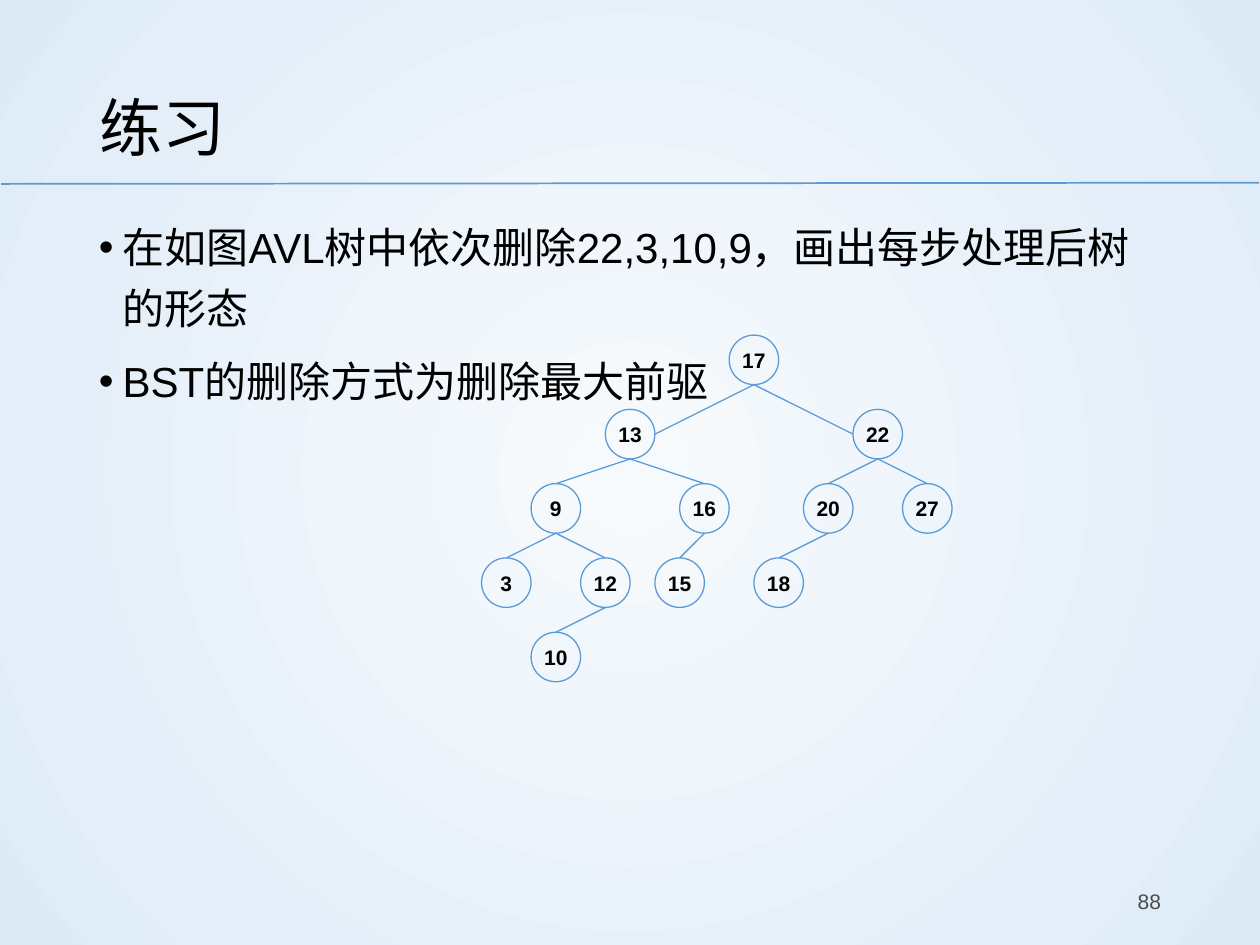
from lxml import etree
from pptx import Presentation
from pptx.dml.color import RGBColor
from pptx.enum.shapes import MSO_CONNECTOR, MSO_SHAPE
from pptx.enum.text import MSO_ANCHOR, PP_ALIGN
from pptx.oxml.ns import qn
from pptx.util import Pt

OVAL = MSO_SHAPE.OVAL
STRAIGHT = MSO_CONNECTOR.STRAIGHT
MIDDLE = MSO_ANCHOR.MIDDLE
LEFT, CENTER, RIGHT = PP_ALIGN.LEFT, PP_ALIGN.CENTER, PP_ALIGN.RIGHT

BLACK = RGBColor(0x00, 0x00, 0x00)
GREY = RGBColor(0x4B, 0x4B, 0x4B)
BLUE = RGBColor(0x5B, 0x9B, 0xD5)
PALE = RGBColor(0xF7, 0xFA, 0xFD)
SKY = RGBColor(0xDE, 0xEB, 0xF7)

UNIT = 14.15
NODES = {
    "17": (10, 0), "13": (5, 1), "22": (15, 1),
    "9": (2, 2), "16": (8, 2), "20": (13, 2), "27": (17, 2),
    "3": (0, 3), "12": (4, 3), "15": (7, 3), "18": (11, 3),
    "10": (2, 4),
}
EDGES = [
    ("17", "13"), ("17", "22"), ("13", "9"), ("13", "16"),
    ("22", "20"), ("22", "27"), ("9", "3"), ("9", "12"),
    ("16", "15"), ("20", "18"), ("12", "10"),
]


def style(para, size, color=BLACK, bold=False):
    for run in para.runs:
        run.font.name = "Arial"
        run.font.size = Pt(size)
        run.font.bold = bold
        run.font.color.rgb = color


def add_line(slide, start, end, width):
    line = slide.shapes.add_connector(STRAIGHT, *map(Pt, start + end))
    line.line.color.rgb = BLUE
    line.line.width = Pt(width)
    etree.SubElement(line._element.spPr, qn("a:effectLst"))


def add_back(slide):
    fill = slide.background.fill
    fill.gradient()
    for stop, color in zip(fill.gradient_stops, (PALE, SKY)):
        stop.color.rgb = color
    grad = next(slide._element.iter(qn("a:gradFill")))
    grad.remove(grad.find(qn("a:lin")))
    circle = etree.SubElement(grad, qn("a:path"), path="circle")
    sides = dict.fromkeys("ltrb", "50000")
    etree.SubElement(circle, qn("a:fillToRect"), **sides)


def add_title(slide, text, box):
    title = slide.shapes.title
    title.left, title.top, title.width, title.height = map(Pt, box)
    frame = title.text_frame
    frame.text = text
    frame.vertical_anchor = MIDDLE
    para = frame.paragraphs[0]
    para.alignment = LEFT
    para.line_spacing = 1.2
    style(para, 36)


def add_body(slide, items, box):
    frame = slide.shapes.add_textbox(*map(Pt, box)).text_frame
    frame.word_wrap = True
    frame.text = "\n".join(items)
    for num, para in enumerate(frame.paragraphs):
        props = para._p.get_or_add_pPr()
        props.set("marL", str(Pt(13.5)))
        props.set("indent", str(Pt(-13.5)))
        etree.SubElement(props, qn("a:buFont"), typeface="Arial")
        etree.SubElement(props, qn("a:buChar"), char="•")
        para.line_spacing = 1.2
        para.space_before = Pt(7.5 if num else 0)
        style(para, 24)


def add_number(slide, text, box):
    frame = slide.shapes.add_textbox(*map(Pt, box)).text_frame
    frame.word_wrap = True
    frame.vertical_anchor = MIDDLE
    frame.text = text
    para = frame.paragraphs[0]
    para.alignment = RIGHT
    style(para, 12, GREY)


def add_node(slide, text, x, y):
    size = 2 * UNIT
    node = slide.shapes.add_shape(OVAL, Pt(x), Pt(y), Pt(size), Pt(size))
    node.shadow.inherit = False
    node.fill.background()
    node.line.color.rgb = BLUE
    node.line.width = Pt(0.75)
    frame = node.text_frame
    frame.margin_left = frame.margin_right = 0
    frame.margin_top = frame.margin_bottom = 0
    frame.word_wrap = False
    frame.vertical_anchor = MIDDLE
    frame.text = text
    para = frame.paragraphs[0]
    para.alignment = CENTER
    style(para, 12, bold=True)


def add_tree(slide, left, top):
    spots = {key: (left + col * UNIT, top + row * 3 * UNIT)
             for key, (col, row) in NODES.items()}
    for key, (x, y) in spots.items():
        add_node(slide, key, x, y)
    for head, kid in EDGES:
        x, y = spots[head]
        kx, ky = spots[kid]
        start = (x + UNIT, y + 2 * UNIT)
        if NODES[head][1] == 0:
            end = (kx + (2 * UNIT if kx < x else 0), ky + UNIT)
        else:
            end = (kx + UNIT, ky)
        add_line(slide, start, end, 0.75)


def main():
    deck = Presentation()
    deck.slide_width, deck.slide_height = Pt(720), Pt(540)
    slide = deck.slides.add_slide(deck.slide_layouts[5])
    add_back(slide)
    add_line(slide, (0.7, 105.1), (719.3, 104.4), 1)
    add_title(slide, "练习", (49.5, 28.8, 621, 77.8))
    add_body(slide, [
        "在如图AVL树中依次删除22,3,10,9，画出每步处理后树的形态",
        "BST的删除方式为删除最大前驱",
    ], (49.5, 117.4, 621, 369.4))
    add_number(slide, "88", (508.5, 500.5, 162, 28.8))
    add_tree(slide, 275.2, 191.5)
    deck.save("out.pptx")


if __name__ == "__main__":
    main()
